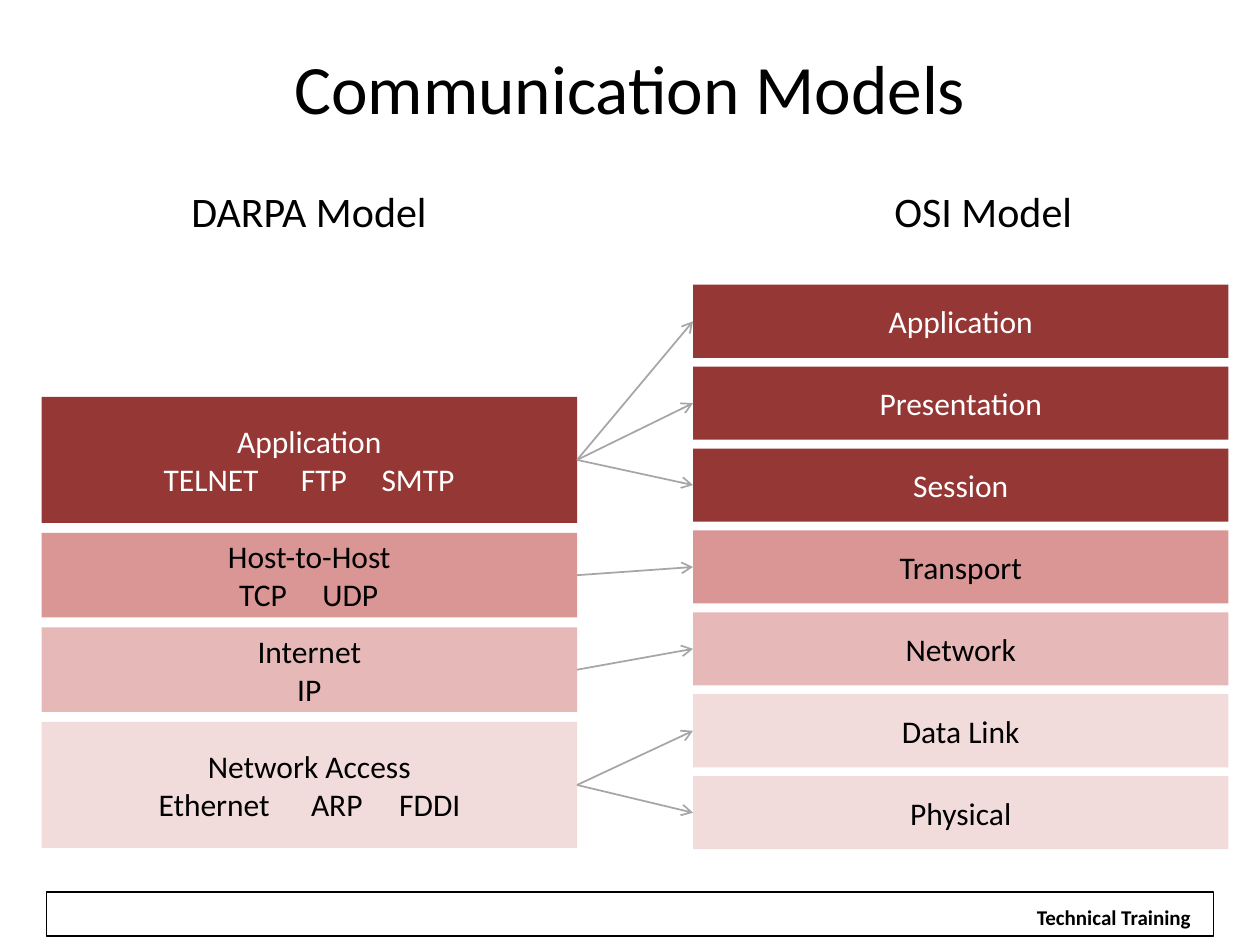
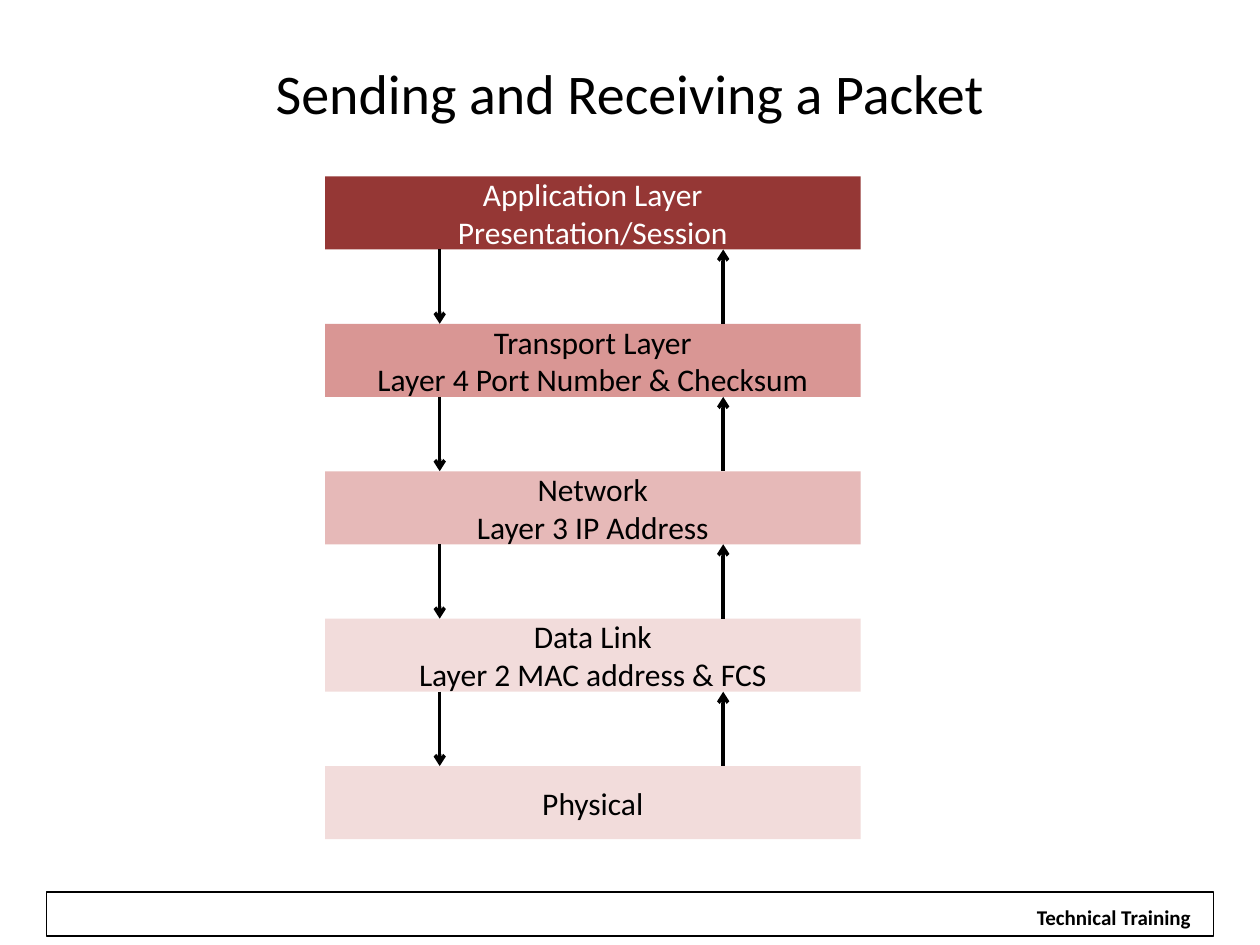
from dataclasses import dataclass
from itertools import pairwise

from lxml.etree import SubElement
from pptx import Presentation
from pptx.dml.color import RGBColor as RGB
from pptx.enum.shapes import MSO_CONNECTOR as CONNECTOR, MSO_SHAPE as SHAPE
from pptx.enum.text import MSO_ANCHOR as ANCHOR, MSO_AUTO_SIZE as AUTO, PP_ALIGN as ALIGN
from pptx.oxml.ns import qn
from pptx.util import Inches, Pt


@dataclass(frozen=True)
class Theme:
    font: str = "Calibri"
    black: RGB = RGB(0x00, 0x00, 0x00)
    white: RGB = RGB(0xFF, 0xFF, 0xFF)
    gray: RGB = RGB(0xA6, 0xA6, 0xA6)
    application: RGB = RGB(0x95, 0x37, 0x35)
    transport: RGB = RGB(0xD9, 0x96, 0x94)
    network: RGB = RGB(0xE6, 0xB9, 0xB8)
    link: RGB = RGB(0xF2, 0xDC, 0xDB)
    heading: float = 24
    layer: float = 18
    footer: float = 12


T = Theme()


def style(shape, text="", size=T.layer, bold=False, fill=None, line=None,
          align=ALIGN.CENTER, anchor=ANCHOR.MIDDLE, wrap=True, fit=AUTO.NONE, tabs=()):
    shape.shadow.inherit = False
    for part, color in ((shape.fill, fill), (shape.line.fill, line)):
        if color is None:
            part.background()
        else:
            part.solid()
            part.fore_color.rgb = color
    frame = shape.text_frame
    frame.text = text
    for name, value in dict(word_wrap=wrap, vertical_anchor=anchor, auto_size=fit).items():
        setattr(frame, name, value)
    for paragraph in frame.paragraphs:
        tabbed = "\t" in paragraph.text
        paragraph.alignment = ALIGN.LEFT if tabbed else align
        if tabbed:
            stops = SubElement(paragraph._p.get_or_add_pPr(), qn("a:tabLst"))
            for stop in tabs:
                SubElement(stops, qn("a:tab"), pos=str(Inches(stop)), algn="l")
        for run in paragraph.runs:
            for name, value in dict(name=T.font, size=Pt(size), bold=bold).items():
                setattr(run.font, name, value)
            run.font.color.rgb = T.white if fill == T.application else T.black
    return shape


def arrow(slide, start, end, color, width, tip="tailEnd"):
    link = slide.shapes.add_connector(CONNECTOR.STRAIGHT, *map(Inches, (*start, *end)))
    link.line.color.rgb = color
    link.line.width = Pt(width)
    SubElement(link.line._get_or_add_ln(), qn("a:" + tip), type="arrow")
    SubElement(link.element.spPr, qn("a:effectLst"))
    return link


prs = Presentation()
prs.slide_width, prs.slide_height = Inches(10), Inches(7.5)

slides = []
for title, size, height in (("Communication Models", 39.6, 0.78),
                            ("Sending and Receiving a Packet", 32, 0.87)):
    slide = prs.slides.add_slide(prs.slide_layouts[5])
    place = dict(left=0.5, top=0.3, width=9, height=height)
    for name, value in place.items():
        setattr(slide.shapes.title, name, Inches(value))
    style(slide.shapes.title, title, size)
    slides.append(slide)
models, packet = slides

footer_band = models.shapes.add_shape(SHAPE.RECTANGLE, *map(Inches, (0.37, 7.08, 9.26, 0.35)))
style(footer_band, line=T.black).line.width = Pt(0.75)
footer_label = models.shapes.add_shape(SHAPE.RECTANGLE, *map(Inches, (8.1, 7.13, 1.48, 0.26)))
style(footer_label, "Technical Training", T.footer, True, T.white, anchor=ANCHOR.TOP, wrap=False)
for shape_id, part in enumerate((footer_band, footer_label), 101):
    part.element.nvSpPr.cNvPr.set("id", str(shape_id))
    prs.slide_master.shapes.element.append(part.element)

for heading, left, width in (("DARPA Model", 1.42, 2.09), ("OSI Model", 7, 1.63)):
    box = models.shapes.add_textbox(*map(Inches, (left, 1.42, width, 0.5)))
    style(box, heading, T.heading, align=ALIGN.LEFT, anchor=ANCHOR.TOP,
          wrap=False, fit=AUTO.SHAPE_TO_FIT_TEXT)

layer_width, layer_height = 4.25, 0.58

osi_layers = []
for row, (name, color) in enumerate((
        ("Application", T.application), ("Presentation", T.application),
        ("Session", T.application), ("Transport", T.transport),
        ("Network", T.network), ("Data Link", T.link), ("Physical", T.link))):
    layer = models.shapes.add_shape(
        SHAPE.RECTANGLE, *map(Inches, (5.5, 2.26 + 0.65 * row, layer_width, layer_height)))
    osi_layers.append(style(layer, name, fill=color))

top = 3.15
for text, color, height, tabs, matches in (
        ("Application\n\tTELNET\tFTP\tSMTP", T.application, 1, (0.87, 1.96, 2.6), (0, 1, 2)),
        ("Host-to-Host\n\tTCP\tUDP", T.transport, 0.67, (1.47, 2.13), (3,)),
        ("Internet\nIP", T.network, 0.67, (), (4,)),
        ("Network Access\n\tEthernet\tARP\tFDDI", T.link, 1, (0.83, 2.04, 2.74), (5, 6))):
    darpa_layer = models.shapes.add_shape(
        SHAPE.RECTANGLE, *map(Inches, (0.33, top, layer_width, height)))
    style(darpa_layer, text, fill=color, tabs=tabs)
    for match in matches:
        mapping = arrow(models, (4.58, top), (5.5, top), T.gray, 1)
        mapping.begin_connect(darpa_layer, 3)
        mapping.end_connect(osi_layers[match], 1)
    top += height + 0.08

packet_layers = (
    ("Application Layer\nPresentation/Session", T.application),
    ("Transport Layer\nLayer 4 Port Number & Checksum", T.transport),
    ("Network\nLayer 3 IP Address", T.network),
    ("Data Link\nLayer 2 MAC address & FCS", T.link),
    ("Physical", T.link))
layer_tops = [1.4 + 1.17 * row for row in range(len(packet_layers))]
for top, (text, color) in zip(layer_tops, packet_layers):
    layer = packet.shapes.add_shape(
        SHAPE.RECTANGLE, *map(Inches, (2.58, top, layer_width, layer_height)))
    style(layer, text, fill=color)

for x, tip in ((3.49, "tailEnd"), (5.74, "headEnd")):
    for upper, lower in pairwise(layer_tops):
        arrow(packet, (x, upper + layer_height), (x, lower), T.black, 2, tip)

prs.save("out.pptx")
